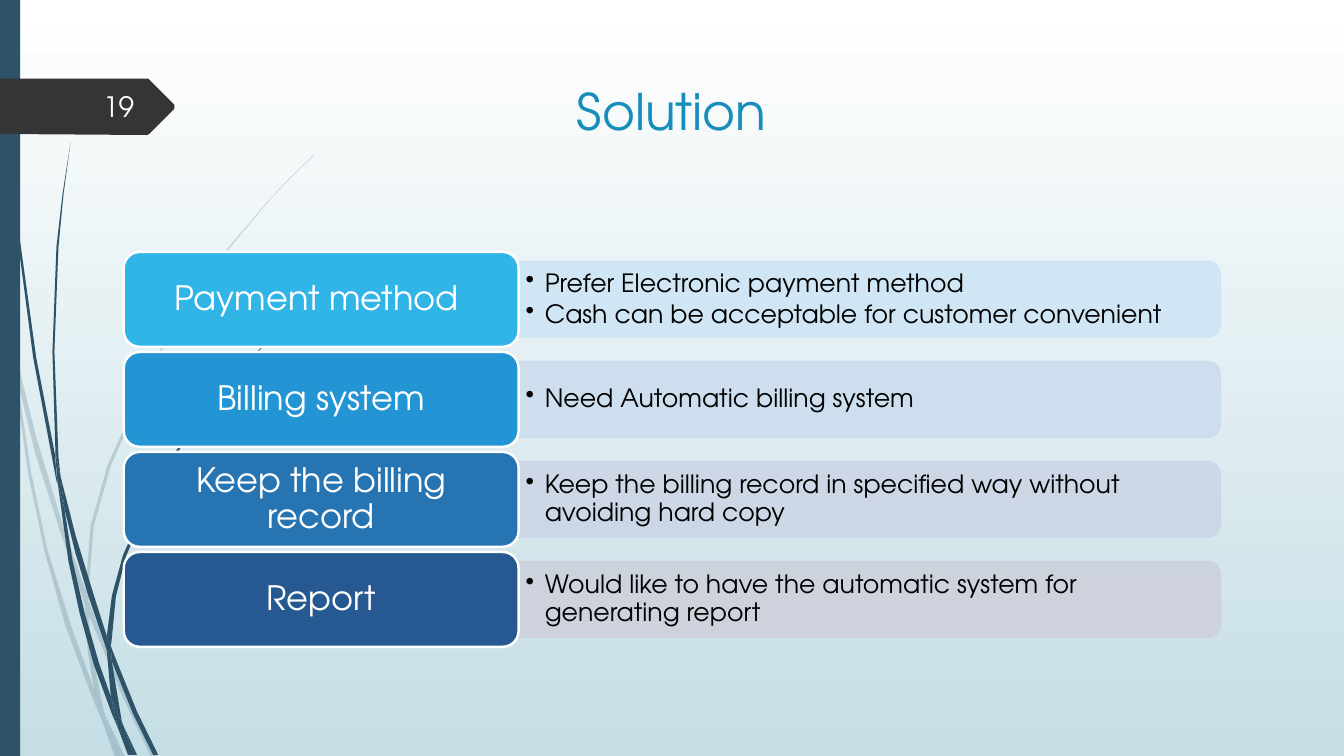
"""Builds the Solution slide: four topics, each with its requirements."""
import pptx
import pptx.dml.color
import pptx.enum.shapes
import pptx.enum.text
import pptx.oxml.ns
import pptx.oxml.xmlchemy
import pptx.util
from lxml import etree

Cm = pptx.util.Cm
Pt = pptx.util.Pt
RGBColor = pptx.dml.color.RGBColor
Shape = pptx.enum.shapes.MSO_SHAPE
Align = pptx.enum.text.PP_ALIGN
Anchor = pptx.enum.text.MSO_ANCHOR
qn = pptx.oxml.ns.qn

FONT = "TeX Gyre Adventor"
WHITE = RGBColor(0xFF, 0xFF, 0xFF)
BLACK = RGBColor(0x00, 0x00, 0x00)
NUMBER_WHITE = RGBColor(0xFE, 0xFF, 0xFF)
PALE_TEAL = RGBColor(0xC5, 0xDE, 0xE5)
NAVY = RGBColor(0x2E, 0x53, 0x69)
CHARCOAL = RGBColor(0x35, 0x35, 0x35)
TITLE_BLUE = RGBColor(0x17, 0x8D, 0xBB)

WIDTH, HEIGHT = 33.87, 19.05
OUTLINE_UNIT = Cm(2.54) / 100
ROW_TOP, ROW_PITCH = 6.35, 2.52
TOPIC_LEFT, TOPIC_WIDTH, TOPIC_HEIGHT = 3.12, 9.95, 2.39
PANEL_WIDTH, PANEL_HEIGHT = 17.68, 1.91

TOPICS = [
    ("Payment method ", RGBColor(0x31, 0xB4, 0xE6), RGBColor(0xCE, 0xE5, 0xF5),
     ["Prefer Electronic payment method",
      "Cash can be acceptable for customer convenient"]),
    ("Billing system", RGBColor(0x23, 0x95, 0xD4), RGBColor(0xCC, 0xDD, 0xEE),
     ["Need Automatic billing system"]),
    ("Keep the billing record", RGBColor(0x26, 0x74, 0xB1), RGBColor(0xCC, 0xD6, 0xE6),
     ["Keep the billing record in specified way without avoiding hard copy"]),
    ("Report", RGBColor(0x26, 0x59, 0x91), RGBColor(0xCD, 0xD1, 0xDC),
     ["Would like to have the automatic system for generating report"]),
]

PALE_GRASS = [
    [(11, 350), (9, 322), (0, 282), (0, 299), (10, 344)],
    [(58, 522), (84, 599), (85, 586), (62, 520), (36, 434), (14, 345), (17, 376), (35, 450)],
    [(92, 607), (88, 596), (88, 610), (123, 694), (150, 751), (155, 751), (127, 692)],
    [(119, 751), (124, 751), (105, 711)],
    [(93, 683), (70, 619), (47, 545), (31, 469), (17, 376), (11, 350), (28, 470), (44, 546),
     (65, 621), (92, 693), (101, 714), (99, 707)],
    [(84, 599), (87, 646), (93, 683), (96, 692), (105, 711), (103, 706), (91, 646),
     (88, 610), (88, 608)],
    [(88, 584), (93, 522), (110, 462), (160, 349), (229, 245), (268, 198), (290, 175),
     (312, 154), (312, 153), (289, 175), (268, 197), (228, 244), (158, 348), (107, 461),
     (90, 521), (85, 584), (85, 586), (88, 596)],
    [(101, 714), (114, 751), (119, 751)],
    [(88, 608), (88, 610), (88, 596), (85, 586), (84, 599)],
    [(96, 692), (93, 683), (99, 707), (101, 714), (119, 751), (105, 711)],
]
DARK_GRASS = [
    [(7, 110), (17, 233), (33, 355), (56, 477), (57, 481), (55, 457), (55, 453), (36, 355),
     (19, 232), (8, 109), (5, 48), (4, 0), (3, 0), (4, 48)],
    [(88, 592), (106, 645), (106, 633), (106, 631), (93, 590), (75, 531), (60, 472),
     (64, 505), (75, 549)],
    [(113, 649), (110, 641), (111, 656), (132, 708), (152, 749), (157, 749), (136, 706)],
    [(110, 691), (98, 657), (84, 608), (72, 556), (64, 505), (57, 477), (68, 557), (79, 608),
     (93, 659), (111, 708), (117, 722), (116, 717)],
    [(60, 472), (58, 453), (54, 349), (58, 245), (63, 193), (70, 141), (62, 193), (56, 245),
     (52, 349), (55, 449)],
    [(133, 749), (136, 749), (122, 719)],
    [(57, 477), (64, 505), (60, 472), (55, 449), (55, 453)],
    [(111, 633), (115, 592), (125, 552), (158, 476), (205, 406), (231, 374), (245, 359),
     (261, 344), (260, 344), (245, 358), (231, 373), (204, 405), (156, 474), (122, 551),
     (111, 591), (106, 631), (110, 641)],
    [(117, 722), (127, 749), (131, 749)],
    [(106, 645), (110, 691), (116, 706), (122, 719), (121, 716), (111, 656), (109, 651)],
    [(106, 645), (109, 651), (111, 656), (110, 641), (106, 631), (106, 633)],
    [(116, 706), (110, 691), (116, 717), (117, 722), (130, 749), (133, 749), (122, 719)],
]
NUMBER_TAG = [(0, 78), (147, 78), (149, 80), (173, 104), (173, 108), (148, 133), (146, 134), (0, 133)]


def write(frame, text, size=18, color=BLACK, align=Align.LEFT, anchor=Anchor.MIDDLE,
          insets=(0.25, 0.13), spacing=1.0, after=0, bullet=None):
    """Fill a text frame with one paragraph per line of text."""
    frame.word_wrap = True
    frame.auto_size = pptx.enum.text.MSO_AUTO_SIZE.NONE
    frame.vertical_anchor = anchor
    frame.margin_left = frame.margin_right = Cm(insets[0])
    frame.margin_top = frame.margin_bottom = Cm(insets[1])
    frame.text = text
    for paragraph in frame.paragraphs:
        paragraph.alignment = align
        paragraph.line_spacing = spacing
        paragraph.space_before = Pt(0)
        paragraph.space_after = Pt(after)
        if bullet:
            properties = paragraph._p.get_or_add_pPr()
            properties.set("marL", str(Cm(0.48)))
            properties.set("indent", str(-Cm(0.48)))
            etree.SubElement(properties, qn("a:buChar")).set("char", bullet)
        for run in paragraph.runs:
            run.font.name = FONT
            run.font.size = Pt(size)
            run.font.color.rgb = color


class SolutionDeck:
    """Holds the presentation, its current slide and the drawing style."""

    def __init__(self):
        """Open an empty deck with one title-only slide."""
        self.deck = pptx.Presentation()
        self.deck.slide_width, self.deck.slide_height = Cm(WIDTH), Cm(HEIGHT)
        self.slide = self.deck.slides.add_slide(self.deck.slide_layouts[5])

    def background(self, top, bottom):
        """Shade the slide from top to bottom."""
        fill = self.slide.background.fill
        fill.gradient()
        fill.gradient_angle = 270
        for stop, color in zip(fill.gradient_stops, (top, bottom)):
            stop.color.rgb = color

    def paint(self, shape, color, line=None, weight=1.25, opacity=100):
        """Give a shape its fill, line and opacity."""
        shape.shadow.inherit = False
        shape.fill.solid()
        shape.fill.fore_color.rgb = color
        if line is None:
            shape.line.fill.background()
        else:
            shape.line.color.rgb = line
            shape.line.width = Pt(weight)
        if opacity < 100:
            for tint in shape._element.spPr.iter(qn("a:srgbClr")):
                etree.SubElement(tint, qn("a:alpha")).set("val", str(opacity * 1000))
        return shape

    def block(self, kind, left, top, width, height, color, **style):
        """Add a painted preset shape."""
        shape = self.slide.shapes.add_shape(kind, Cm(left), Cm(top), Cm(width), Cm(height))
        return self.paint(shape, color, **style)

    def outline(self, points, color, **style):
        """Add a closed outline through the given points."""
        builder = self.slide.shapes.build_freeform(*points[0], scale=OUTLINE_UNIT)
        builder.add_line_segments(points[1:], close=True)
        return self.paint(builder.convert_to_shape(), color, **style)

    def title(self, text, left, top, width, height):
        """Place and format the title."""
        heading = self.slide.shapes.title
        heading.left, heading.top = Cm(left), Cm(top)
        heading.width, heading.height = Cm(width), Cm(height)
        write(heading.text_frame, text, size=36, color=TITLE_BLUE,
              align=Align.CENTER, anchor=Anchor.TOP)

    def label(self, text, left, top, width, height, **style):
        """Add a text box."""
        box = self.slide.shapes.add_textbox(Cm(left), Cm(top), Cm(width), Cm(height))
        write(box.text_frame, text, **style)

    def topic(self, row, name, color, panel_color, needs):
        """Add one row: the topic and the panel of its needs."""
        top = ROW_TOP + row * ROW_PITCH
        middle = top + TOPIC_HEIGHT / 2
        panel_left = TOPIC_LEFT + TOPIC_WIDTH
        panel = self.block(Shape.ROUND_2_SAME_RECTANGLE,
                           panel_left + (PANEL_WIDTH - PANEL_HEIGHT) / 2,
                           middle - PANEL_WIDTH / 2, PANEL_HEIGHT, PANEL_WIDTH,
                           panel_color, line=panel_color, opacity=90)
        panel.rotation = 90
        self.label("\n".join(needs), panel_left, middle - 0.86, PANEL_WIDTH, 1.72,
                   insets=(0.18, 0.1), spacing=0.9, after=2.7, bullet="•")
        head = self.block(Shape.ROUNDED_RECTANGLE, TOPIC_LEFT, top, TOPIC_WIDTH,
                          TOPIC_HEIGHT, color, line=WHITE, weight=1.75)
        write(head.text_frame, name, size=24, color=WHITE, align=Align.CENTER,
              insets=(0.38, 0.25), spacing=0.9)


def main():
    """Build and save the slide."""
    solution = SolutionDeck()
    solution.background(WHITE, PALE_TEAL)
    for blade in PALE_GRASS:
        solution.outline(blade, NAVY, opacity=20)
    for blade in DARK_GRASS:
        solution.outline(blade, NAVY)
    solution.block(Shape.RECTANGLE, 0, 0, 0.51, HEIGHT, NAVY)
    solution.outline(NUMBER_TAG, CHARCOAL)
    solution.title("Solution", 1.78, 1.9, 30.3, 4.11)
    for row, topic in enumerate(TOPICS):
        solution.topic(row, *topic)
    solution.label("19", 1.47, 2.18, 2.16, 1.02, size=20, color=NUMBER_WHITE, align=Align.RIGHT)
    solution.deck.save("out.pptx")


if __name__ == "__main__":
    main()
